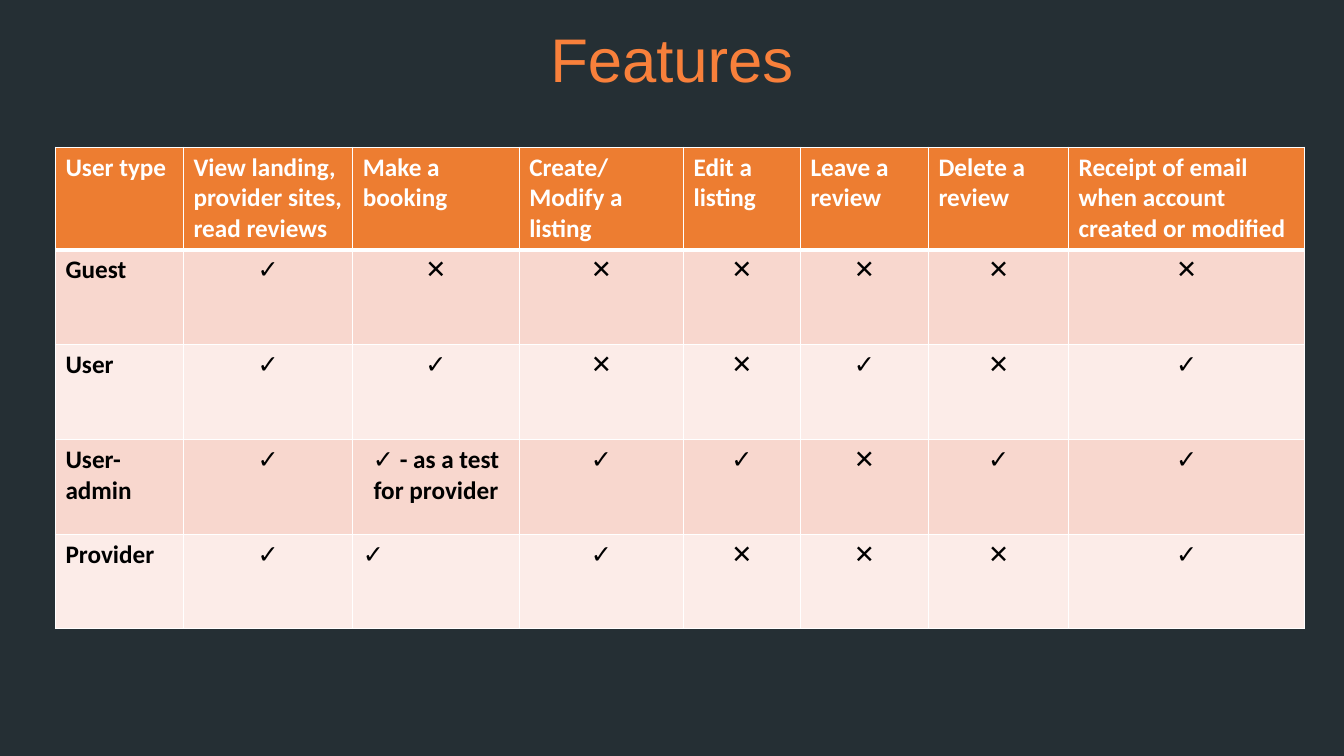
from lxml import etree
from pptx import Presentation
from pptx.dml import color
from pptx.enum import text
from pptx.oxml import ns
from pptx.util import Inches, Pt

# Content
TITLE = "Features"
HEADINGS = ["User type", "View landing, provider sites, read reviews", "Make a booking",
            "Create/Modify a listing", "Edit a listing", "Leave a review",
            "Delete a review", "Receipt of email when account created or modified"]
USER_TYPES = [
    ("Guest", "✓", "✕", "✕", "✕", "✕", "✕", "✕"),
    ("User", "✓", "✓", "✕", "✕", "✓", "✕", "✓"),
    ("User-admin", "✓", "✓ - as a test for provider", "✓", "✓", "✕", "✓", "✓"),
    ("Provider", "✓", "✓", "✓", "✕", "✕", "✕", "✓"),
]
LEFT_ALIGNED_MARK = (4, 2)  # Provider, Make a booking

# Layout and colours
COLUMN_WIDTHS = [1.27, 1.68, 1.65, 1.63, 1.16, 1.27, 1.39, 2.34]
HEADER_HEIGHT, ROW_HEIGHT = 1.02, 0.94
BACKGROUND, TITLE_COLOR, HEADER_FILL = "252F34", "F8803B", "ED7D31"
BAND_FILLS = ["F8D7CE", "FCECE8"]
WHITE, BLACK = "FFFFFF", "000000"


def rgb(value):
    return color.RGBColor.from_string(value)


def add_text(paragraph, words, font, size, hue, bold=False):
    run = paragraph.add_run()
    run.text = words
    run.font.name, run.font.size, run.font.bold = font, Pt(size), bold
    run.font.color.rgb = rgb(hue)


def set_borders(cell, top, bottom):
    """White borders, 1 pt at the sides, with the given weights above and below."""
    properties = cell._tc.get_or_add_tcPr()
    for side, weight in (("L", 1), ("R", 1), ("T", top), ("B", bottom)):
        line = etree.SubElement(properties, ns.qn(f"a:ln{side}"), w=str(Pt(weight)))
        fill = etree.SubElement(line, ns.qn("a:solidFill"))
        etree.SubElement(fill, ns.qn("a:srgbClr"), val=WHITE)


def main():
    prs = Presentation()
    prs.slide_width, prs.slide_height = Inches(13.33), Inches(7.5)
    slide = prs.slides.add_slide(prs.slide_layouts[6])
    slide.background.fill.solid()
    slide.background.fill.fore_color.rgb = rgb(BACKGROUND)

    # Title
    title = slide.shapes.add_textbox(0, Inches(0.04), prs.slide_width, Inches(1.17)).text_frame
    title.word_wrap = True
    title.vertical_anchor = text.MSO_ANCHOR.MIDDLE
    heading = title.paragraphs[0]
    heading.alignment, heading.line_spacing = text.PP_ALIGN.CENTER, 0.9
    add_text(heading, TITLE, "Arial", 44, TITLE_COLOR)

    # Feature table
    rows = [HEADINGS, *USER_TYPES]
    heights = [HEADER_HEIGHT] + [ROW_HEIGHT] * len(USER_TYPES)
    features = slide.shapes.add_table(
        len(rows), len(HEADINGS), Inches(0.55), Inches(1.46),
        Inches(sum(COLUMN_WIDTHS)), Inches(sum(heights))).table
    for column, width in zip(features.columns, COLUMN_WIDTHS):
        column.width = Inches(width)

    for r, (entries, height) in enumerate(zip(rows, heights)):
        features.rows[r].height = Inches(height)
        for c, entry in enumerate(entries):
            cell = features.cell(r, c)
            # The rule under the header is heavier
            set_borders(cell, top=3 if r == 1 else 1, bottom=3 if r == 0 else 1)
            cell.fill.solid()
            cell.fill.fore_color.rgb = rgb(BAND_FILLS[(r - 1) % 2] if r else HEADER_FILL)
            paragraph = cell.text_frame.paragraphs[0]
            if r and c and (r, c) != LEFT_ALIGNED_MARK:
                paragraph.alignment = text.PP_ALIGN.CENTER
            add_text(paragraph, entry, "Calibri", 18, BLACK if r else WHITE, bold=True)

    prs.save("out.pptx")


if __name__ == "__main__":
    main()
